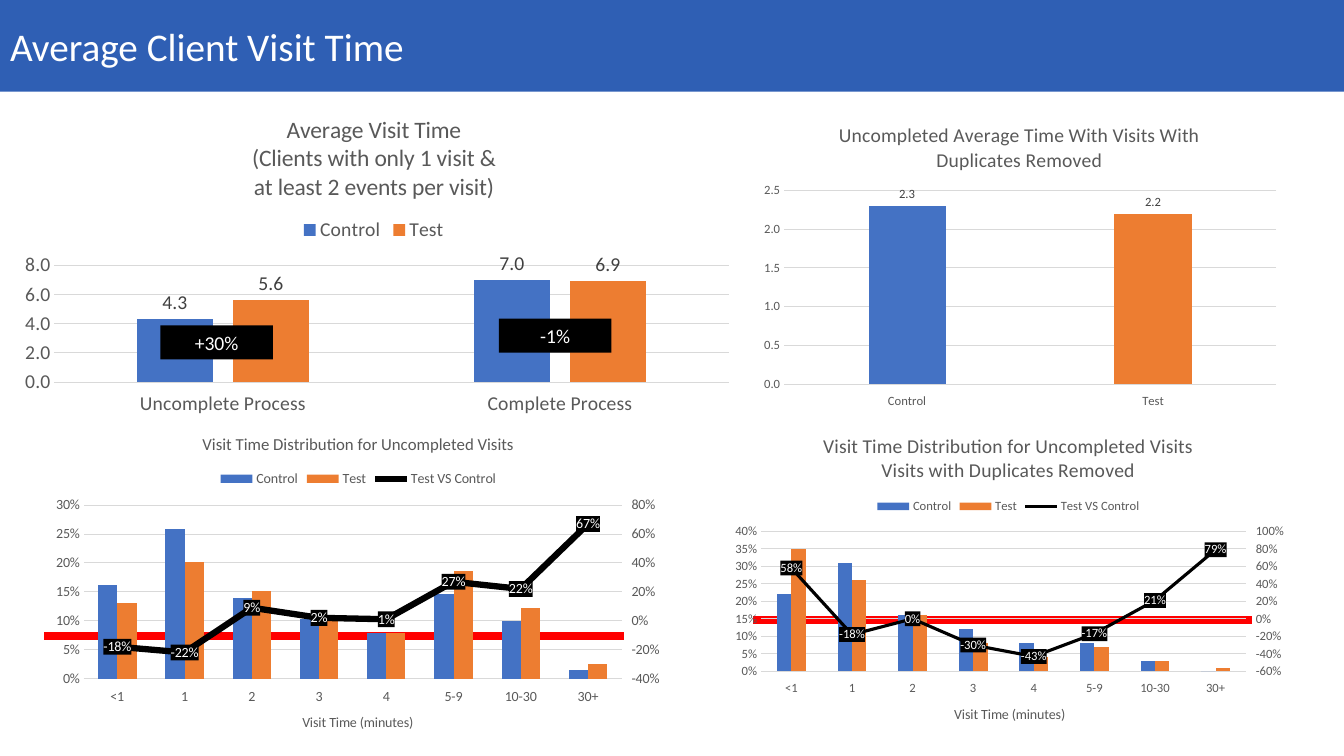
from pptx import Presentation
from pptx.chart.axis import ValueAxis
from pptx.chart.data import CategoryChartData
from pptx.dml.color import RGBColor
from pptx.enum.chart import XL_CHART_TYPE as ChartType, XL_LABEL_POSITION as LabelPos
from pptx.enum.chart import XL_LEGEND_POSITION as LegendPos, XL_MARKER_STYLE as Marker
from pptx.enum.chart import XL_TICK_LABEL_POSITION as TickLabels, XL_TICK_MARK as Tick
from pptx.enum.shapes import MSO_CONNECTOR as Connector, MSO_SHAPE as Shape
from pptx.enum.text import MSO_ANCHOR as Anchor, MSO_AUTO_SIZE as AutoSize, PP_ALIGN as Align
from pptx.oxml import parse_xml
from pptx.oxml.ns import nsdecls, qn
from pptx.util import Cm, Pt

BLUE, ORANGE, GREY, GRID = "4472C4", "ED7D31", "595959", "D9D9D9"
BLACK, WHITE, RED = "000000", "FFFFFF", "FF0000"
MINUTES = ["<1", "1", "2", "3", "4", "5-9", "10-30", "30+"]

VISIT_TIME = {
    "frame": (0.25, 2.51, 18.34, 7.98), "plot": (1.37, 6.68, 16.99, 2.95),
    "title": "Average Visit Time\n(Clients with only 1 visit &\nat least 2 events per visit)",
    "title_size": 16.8, "size": 14, "gap": 219, "overlap": -27, "legend": True,
    "scale": (0, 8, 2), "format": "0.0", "categories": ["Uncomplete Process", "Complete Process"],
    "bars": {"Control": (4.3, 7), "Test": (5.6, 6.9)},
}
NO_DUPLICATES = {
    "frame": (18.97, 2.69, 13.44, 7.62), "plot": (19.76, 4.8, 12.4, 4.88),
    "title": "Uncompleted Average Time With Visits With Duplicates Removed",
    "title_size": 14, "size": 9, "gap": 219, "overlap": -27, "legend": False,
    "scale": (0, 2.5, 0.5), "format": "0.0", "categories": ["Control", "Test"],
    "bars": {"Series 1": (2.3, 2.2)},
}
DISTRIBUTION = {
    "frame": (1.12, 10.52, 15.82, 8.43), "plot": (2.11, 12.73, 13.56, 4.37),
    "title": "Visit Time Distribution for Uncompleted Visits",
    "title_size": 12, "size": 10, "gap": 150, "overlap": 0, "legend": True,
    "scale": (0, 0.3, 0.05), "format": "0%", "categories": MINUTES,
    "bars": {"Control": (0.161, 0.259, 0.139, 0.103, 0.078, 0.147, 0.1, 0.015),
             "Test": (0.131, 0.202, 0.151, 0.106, 0.079, 0.186, 0.122, 0.025)},
    "change": (-0.18, -0.22, 0.09, 0.02, 0.01, 0.27, 0.22, 0.67),
    "change_scale": (-0.4, 0.8, 0.2), "change_width": 4.5,
}
DISTRIBUTION_NO_DUPLICATES = {
    "frame": (18.21, 10.52, 14.4, 8.1), "plot": (19.18, 13.39, 12.22, 3.53),
    "title": "Visit Time Distribution for Uncompleted Visits\nVisits with Duplicates Removed",
    "title_size": 14, "size": 9, "gap": 219, "overlap": 0, "legend": True,
    "scale": (0, 0.4, 0.05), "format": "0%", "categories": MINUTES,
    "bars": {"Control": (0.22, 0.31, 0.16, 0.12, 0.08, 0.08, 0.03, 0),
             "Test": (0.35, 0.26, 0.16, 0.08, 0.04, 0.07, 0.03, 0.01)},
    "change": (0.58, -0.18, 0, -0.3, -0.43, -0.17, 0.21, 0.79),
    "change_scale": (-0.6, 1, 0.2), "change_width": 2.25,
}


def apply(target, values):
    for name, value in values.items():
        setattr(target, name, value)


def paint(target, color):
    if hasattr(target, "solid"):
        target.solid()
        target = target.fore_color
    target.rgb = RGBColor.from_string(color)


def style_font(font, size, color):
    apply(font, {"name": "Calibri", "size": Pt(size), "bold": False})
    paint(font.color, color)


def add_heading(slide, text):
    heading = slide.shapes.title
    apply(heading, {"left": Cm(0), "top": Cm(0), "width": Cm(33.87), "height": Cm(2.31)})
    paint(heading.fill, "2F5FB4")
    apply(heading.text_frame, {"text": text, "vertical_anchor": Anchor.MIDDLE,
                               "auto_size": AutoSize.NONE, "word_wrap": True})
    paragraph = heading.text_frame.paragraphs[0]
    paragraph.alignment = Align.LEFT
    style_font(paragraph.font, 28, WHITE)


def add_zero_line(slide, left, right, level):
    zero_line = slide.shapes.add_connector(
        Connector.STRAIGHT, Cm(left), Cm(level), Cm(right), Cm(level))
    zero_line.line.width = Pt(6)
    paint(zero_line.line.color, RED)
    zero_line._element.spPr.append(parse_xml(f"<a:effectLst {nsdecls('a')}/>"))


def add_badge(slide, left, top, text):
    badge = slide.shapes.add_shape(Shape.RECTANGLE, Cm(left), Cm(top), Cm(2.84), Cm(0.86))
    badge.shadow.inherit = False
    paint(badge.fill, BLACK)
    badge.line.fill.background()
    apply(badge.text_frame, {"text": text, "word_wrap": True,
                             "vertical_anchor": Anchor.MIDDLE})
    paragraph = badge.text_frame.paragraphs[0]
    paragraph.alignment = Align.CENTER
    style_font(paragraph.font, 14, WHITE)


def write_title(title, text, size):
    title.text_frame.text = text
    for paragraph in title.text_frame.paragraphs:
        style_font(paragraph.font, size, GREY)


def style_value_axis(axis, scale, number_format, size, tick):
    low, high, step = scale
    apply(axis, {"minimum_scale": low, "maximum_scale": high, "major_unit": step,
                 "major_tick_mark": tick, "minor_tick_mark": Tick.NONE})
    apply(axis.tick_labels, {"number_format": number_format, "number_format_is_linked": False})
    style_font(axis.tick_labels.font, size, GREY)
    axis.format.line.fill.background()


def style_category_axis(axis, size):
    apply(axis, {"major_tick_mark": Tick.NONE, "minor_tick_mark": Tick.NONE,
                 "tick_label_position": TickLabels.LOW, "has_major_gridlines": False})
    style_font(axis.tick_labels.font, size, GREY)
    paint(axis.format.line.color, GRID)
    axis.format.line.width = Pt(0.75)


def label_series(series, number_format, position, size, color):
    labels = series.data_labels
    apply(labels, {"show_value": True, "position": position,
                   "number_format": number_format, "number_format_is_linked": False})
    style_font(labels.font, size, color)
    return labels


def fix_plot_area(chart, frame, plot):
    area = chart._chartSpace.chart.plotArea
    for layout in area.findall(qn("c:layout")):
        area.remove(layout)
    fractions = {"x": (plot[0] - frame[0]) / frame[2], "y": (plot[1] - frame[1]) / frame[3],
                 "w": plot[2] / frame[2], "h": plot[3] / frame[3]}
    modes = '<c:xMode val="edge"/><c:yMode val="edge"/>'
    sizes = "".join(f'<c:{key} val="{value:.4f}"/>' for key, value in fractions.items())
    area.insert(0, parse_xml(
        f'<c:layout {nsdecls("c")}><c:manualLayout><c:layoutTarget val="inner"/>'
        f"{modes}{sizes}</c:manualLayout></c:layout>"))


def axis_xml(kind, own, other, side, hidden, crosses):
    return parse_xml(
        f'<c:{kind} {nsdecls("c")}><c:axId val="{own}"/>'
        f'<c:scaling><c:orientation val="minMax"/></c:scaling><c:delete val="{hidden}"/>'
        f'<c:axPos val="{side}"/><c:tickLblPos val="nextTo"/>'
        f'<c:crossAx val="{other}"/><c:crosses val="{crosses}"/></c:{kind}>')


def move_change_to_right_axis(chart):
    area = chart._chartSpace.chart.plotArea
    bars = area.find(qn("c:barChart"))
    change = bars.findall(qn("c:ser"))[-1]
    for bar_setting in change.findall(qn("c:invertIfNegative")):
        change.remove(bar_setting)
    line_chart = parse_xml(
        f'<c:lineChart {nsdecls("c")}><c:grouping val="standard"/><c:varyColors val="0"/>'
        '<c:marker val="1"/><c:axId val="5001"/><c:axId val="5002"/></c:lineChart>')
    line_chart.insert(2, change)
    bars.addnext(line_chart)
    right_axis = axis_xml("valAx", 5002, 5001, "r", 0, "max")
    area.findall(qn("c:valAx"))[-1].addnext(right_axis)
    right_axis.addnext(axis_xml("catAx", 5001, 5002, "b", 1, "autoZero"))
    return ValueAxis(right_axis)


def style_change(chart, values):
    right_axis = move_change_to_right_axis(chart)
    size = values["size"]
    style_value_axis(right_axis, values["change_scale"], "0%", size, Tick.OUTSIDE)
    change = chart.plots[1].series[0]
    change.smooth = False
    change.marker.style = Marker.NONE
    paint(change.format.line.color, BLACK)
    change.format.line.width = Pt(values["change_width"])
    labels = label_series(change, "0%", LabelPos.CENTER, size, WHITE)
    labels._element.find(qn("c:numFmt")).addnext(parse_xml(
        f'<c:spPr {nsdecls("c", "a")}><a:solidFill><a:srgbClr val="{BLACK}"/></a:solidFill></c:spPr>'))
    write_title(chart.category_axis.axis_title, "Visit Time (minutes)", 10)


def add_column_chart(slide, values):
    data = CategoryChartData()
    data.categories = values["categories"]
    for name, numbers in values["bars"].items():
        data.add_series(name, numbers)
    if "change" in values:
        data.add_series("Test VS Control", values["change"])
    chart = slide.shapes.add_chart(
        ChartType.COLUMN_CLUSTERED, *map(Cm, values["frame"]), data).chart
    size = values["size"]
    style_font(chart.font, size, GREY)
    write_title(chart.chart_title, values["title"], values["title_size"])
    chart.has_legend = values["legend"]
    if values["legend"]:
        apply(chart.legend, {"position": LegendPos.TOP, "include_in_layout": False})
        style_font(chart.legend.font, size, GREY)
    style_category_axis(chart.category_axis, size)
    style_value_axis(chart.value_axis, values["scale"], values["format"], size, Tick.NONE)
    grid = chart.value_axis.major_gridlines.format.line
    paint(grid.color, GRID)
    grid.width = Pt(0.75)
    if "change" in values:
        style_change(chart, values)
    columns = chart.plots[0]
    apply(columns, {"gap_width": values["gap"], "overlap": values["overlap"],
                    "vary_by_categories": False})
    for series, color in zip(columns.series, (BLUE, ORANGE)):
        paint(series.format.fill, color)
        if "change" not in values:
            label_series(series, "0.0", LabelPos.OUTSIDE_END, size, "404040")
    if len(values["bars"]) == 1:
        paint(columns.series[0].points[1].format.fill, ORANGE)
    fix_plot_area(chart, values["frame"], values["plot"])


def main():
    deck = Presentation()
    apply(deck, {"slide_width": Cm(33.87), "slide_height": Cm(19.05)})
    slide = deck.slides.add_slide(deck.slide_layouts[5])
    add_heading(slide, "Average Client Visit Time")
    add_zero_line(slide, 18.97, 31.55, 15.62)
    add_zero_line(slide, 1.12, 15.72, 16.03)
    for values in (VISIT_TIME, DISTRIBUTION, NO_DUPLICATES, DISTRIBUTION_NO_DUPLICATES):
        add_column_chart(slide, values)
    add_badge(slide, 4.04, 8.2, "+30%")
    add_badge(slide, 12.57, 8.03, "-1%")
    deck.save("out.pptx")


if __name__ == "__main__":
    main()
